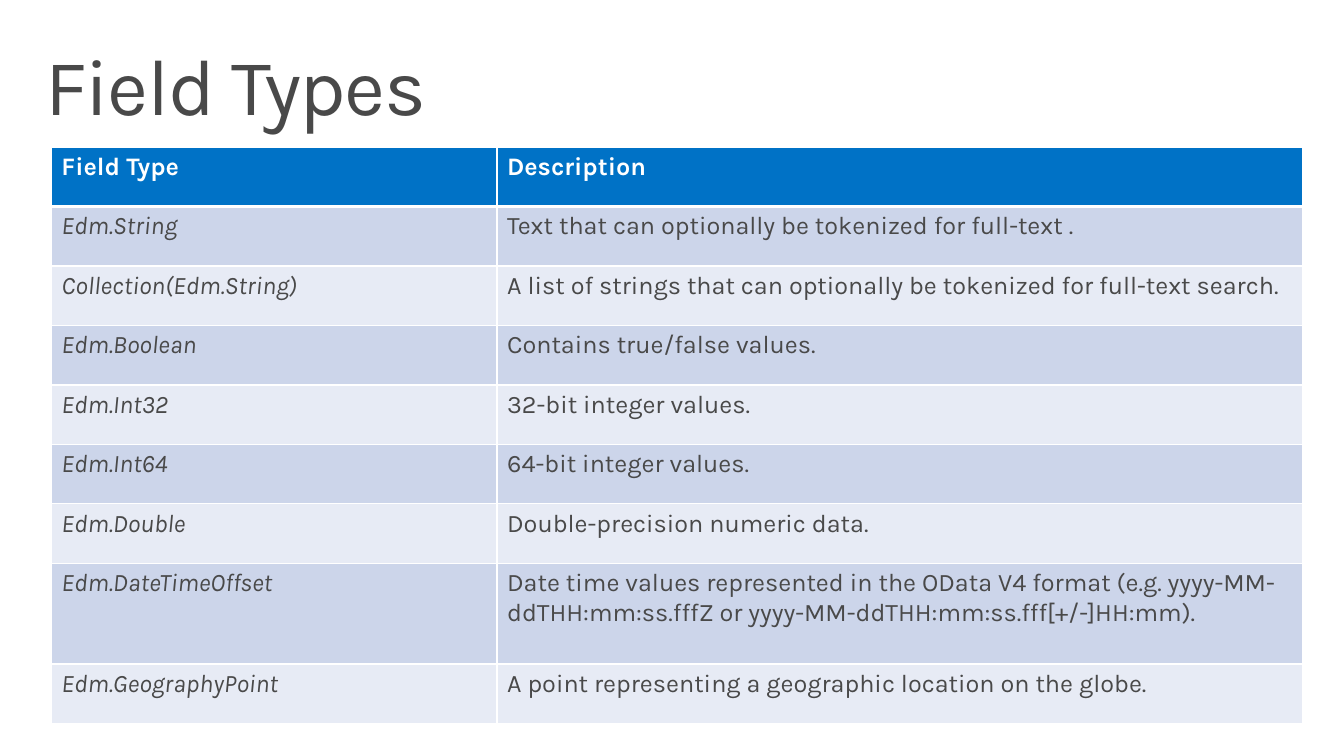
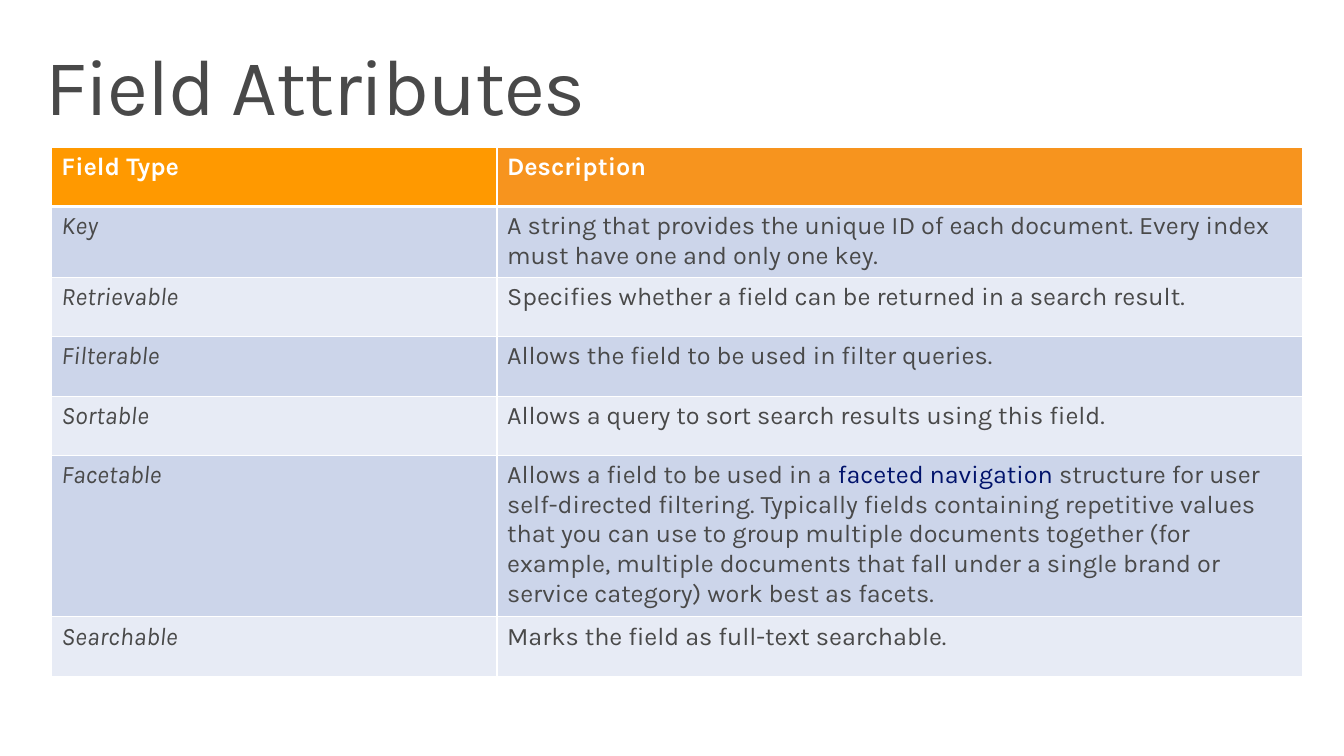
from lxml.etree import SubElement
from pptx import Presentation
from pptx.dml.color import RGBColor
from pptx.enum.text import MSO_ANCHOR
from pptx.oxml.ns import qn
from pptx.util import Inches, Pt

FONT = "Karla"
COLORS = {
    "text": "494949",
    "white": "FFFFFF",
    "link": "00126B",
    "blue": "0072C6",
    "amber": "FF9900",
    "orange": "F7941E",
    "odd_row": "CCD5EA",
    "even_row": "E7EBF5",
}
TITLE_BOX = (0.29, 0.28, 9.8, 1.18)
TABLE_BOX = (0.51, 1.46, 12.41)
NAME_WIDTH = 4.42
ROW_HEIGHT = 0.59
HEADINGS = ("Field Type", "Description")

FIELD_TYPES = [
    ("Edm.String", "Text that can optionally be tokenized for full-text ."),
    ("Collection(Edm.String)",
     "A list of strings that can optionally be tokenized for full-text search."),
    ("Edm.Boolean", "Contains true/false values."),
    ("Edm.Int32", "32-bit integer values."),
    ("Edm.Int64", "64-bit integer values."),
    ("Edm.Double", "Double-precision numeric data."),
    ("Edm.DateTimeOffset",
     "Date time values represented in the OData V4 format (e.g. "
     "yyyy-MM-ddTHH:mm:ss.fffZ or yyyy-MM-ddTHH:mm:ss.fff[+/-]HH:mm)."),
    ("Edm.GeographyPoint", "A point representing a geographic location on the globe."),
]
FIELD_ATTRIBUTES = [
    ("Key", "A string that provides the unique ID of each document. "
            "Every index must have one and only one key."),
    ("Retrievable", "Specifies whether a field can be returned in a search result."),
    ("Filterable", "Allows the field to be used in filter queries."),
    ("Sortable", "Allows a query to sort search results using this field."),
    ("Facetable",
     "Allows a field to be used in a faceted navigation structure for user "
     "self-directed filtering. Typically fields containing repetitive values that "
     "you can use to group multiple documents together (for example, multiple "
     "documents that fall under a single brand or service category) work best as "
     "facets."),
    ("Searchable", "Marks the field as full-text searchable."),
]


def rgb(name):
    """Return the palette colour called name."""
    return RGBColor.from_string(COLORS[name])


def style_run(run, size, color, bold=False, italic=False):
    """Apply the deck font to a run."""
    font = run.font
    font.name, font.size = FONT, Pt(size)
    font.bold, font.italic = bold, italic
    font.color.rgb = rgb(color)


def add_title(slide, box, wording):
    """Place the slide title in its box."""
    frame = slide.shapes.add_textbox(*map(Inches, box)).text_frame
    frame.word_wrap = True
    frame.vertical_anchor = MSO_ANCHOR.MIDDLE
    frame.margin_left = frame.margin_right = Inches(0.16)
    frame.margin_top = frame.margin_bottom = Inches(0.1)
    frame.text = wording
    paragraph = frame.paragraphs[0]
    paragraph.line_spacing = Pt(61.8)
    run = paragraph.runs[0]
    style_run(run, 56.9, "text")
    run.font._element.set("spc", "-100")


def set_borders(cell, top=1, bottom=1):
    """Draw white borders on a cell, with widths in points."""
    properties = cell._tc.get_or_add_tcPr()
    for side, width in (("L", 1), ("R", 1), ("T", top), ("B", bottom)):
        line = SubElement(properties, qn(f"a:ln{side}"), w=str(Pt(width)))
        fill = SubElement(line, qn("a:solidFill"))
        SubElement(fill, qn("a:srgbClr"), val=COLORS["white"])


def fill_cell(cell, wording, fill, color, link="", **style):
    """Write a cell, giving any link phrase within it its own colour."""
    cell.fill.solid()
    cell.fill.fore_color.rgb = rgb(fill)
    before, phrase, after = wording.partition(link) if link else (wording, "", "")
    paragraph = cell.text_frame.paragraphs[0]
    for part, part_color in ((before, color), (phrase, "link"), (after, color)):
        if part:
            run = paragraph.add_run()
            run.text = part
            style_run(run, 18, part_color, **style)


def add_field_table(slide, box, fields, header_fills, tall_rows, link):
    """Place a table of field names and descriptions in its box."""
    left, top, width = box
    heights = [tall_rows.get(row, ROW_HEIGHT) for row in range(len(fields) + 1)]
    table = slide.shapes.add_table(
        len(heights), 2, Inches(left), Inches(top), Inches(width), Inches(sum(heights))
    ).table
    table.first_row = table.horz_banding = False
    for column, column_width in zip(table.columns, (NAME_WIDTH, width - NAME_WIDTH)):
        column.width = Inches(column_width)
    for row, height in zip(table.rows, heights):
        row.height = Inches(height)

    for column, (heading, fill) in enumerate(zip(HEADINGS, header_fills)):
        cell = table.cell(0, column)
        set_borders(cell, bottom=3)
        fill_cell(cell, heading, fill, "white", bold=True)
    for row, entry in enumerate(fields, 1):
        fill = "odd_row" if row % 2 else "even_row"
        for column, wording in enumerate(entry):
            cell = table.cell(row, column)
            set_borders(cell, top=3 if row == 1 else 1)
            fill_cell(cell, wording, fill, "text", link, italic=column == 0)


def add_field_slide(deck, title, fields, header_fills, tall_rows=None, link=""):
    """Add a slide with a title above a field table."""
    slide = deck.slides.add_slide(deck.slide_layouts[6])
    add_title(slide, TITLE_BOX, title)
    add_field_table(slide, TABLE_BOX, fields, header_fills, tall_rows or {}, link)


def main():
    """Build and save the presentation."""
    deck = Presentation()
    deck.slide_width, deck.slide_height = Inches(13.33), Inches(7.5)
    add_field_slide(deck, "Field Types", FIELD_TYPES, ("blue", "blue"), tall_rows={7: 1})
    add_field_slide(deck, "Field Attributes", FIELD_ATTRIBUTES, ("amber", "orange"),
                    link="faceted navigation ")
    deck.save("out.pptx")


if __name__ == "__main__":
    main()
